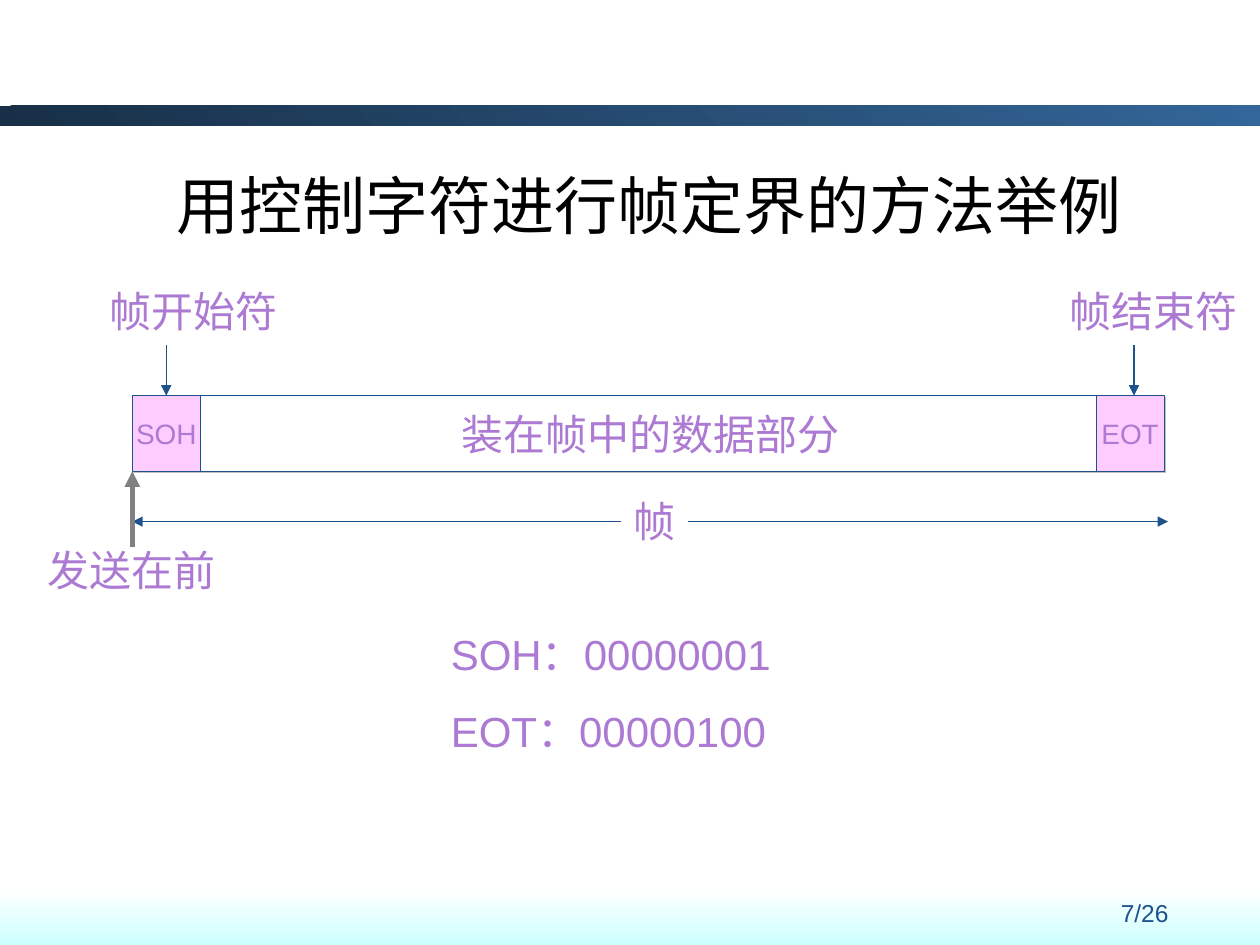
import pptx
import pptx.dml.color
import pptx.enum.dml
import pptx.enum.shapes
import pptx.enum.text
import pptx.oxml
import pptx.oxml.ns
import pptx.util

Inches = pptx.util.Inches
ALIGN = pptx.enum.text.PP_ALIGN
ANCHOR = pptx.enum.text.MSO_ANCHOR
NAVY, PURPLE, PINK, WHITE = "1D528D", "AC7AD2", "FFCCFF", "FFFFFF"
NAMESPACE = pptx.oxml.ns.nsdecls("a")
CJK_FONT = "Noto Sans CJK SC"


def color(hex_value):
    return pptx.dml.color.RGBColor.from_string(hex_value)


def add_xml(parent, xml):
    parent.append(pptx.oxml.parse_xml(xml))


def write_text(shape, text, size=24, hex_value=PURPLE, font="Arial",
               align=ALIGN.LEFT, anchor=ANCHOR.TOP, wrap=False):
    frame = shape.text_frame
    frame_format = {"word_wrap": wrap, "vertical_anchor": anchor}
    for name, value in frame_format.items():
        setattr(frame, name, value)
    paragraph = frame.paragraphs[0]
    paragraph.alignment = align
    run = paragraph.add_run()
    run.text = text
    for name, value in {"size": pptx.util.Pt(size), "name": font}.items():
        setattr(run.font, name, value)
    run.font.color.rgb = color(hex_value)
    add_xml(run.font._element, f'<a:ea {NAMESPACE} typeface="{CJK_FONT}"/>')


def add_label(slide, left, top, width, height, text, **text_format):
    label = slide.shapes.add_textbox(
        Inches(left), Inches(top), Inches(width), Inches(height))
    write_text(label, text, **text_format)
    return label


def add_rectangle(slide, left, top, width, height):
    rectangle = slide.shapes.add_shape(
        pptx.enum.shapes.MSO_SHAPE.RECTANGLE,
        Inches(left), Inches(top), Inches(width), Inches(height))
    rectangle.shadow.inherit = False
    return rectangle


def add_gradient_band(slide, left, top, width, height, colors, angle):
    band = add_rectangle(slide, left, top, width, height)
    band.line.fill.background()
    band.fill.gradient()
    band.fill.gradient_angle = angle
    for stop, position, hex_value in zip(band.fill.gradient_stops, (0, 1), colors):
        stop.position = position
        stop.color.rgb = color(hex_value)


def add_field(slide, left, top, width, height, text, fill, size):
    """One bordered field of the frame, with a small grey shadow."""
    field = add_rectangle(slide, left, top, width, height)
    field.fill.solid()
    field.fill.fore_color.rgb = color(fill)
    field.line.color.rgb = color(NAVY)
    field.line.width = pptx.util.Pt(0.75)
    effects = field._element.spPr.find(pptx.oxml.ns.qn("a:effectLst"))
    add_xml(effects, f'<a:outerShdw {NAMESPACE} dist="17780" dir="2700000">'
                     '<a:srgbClr val="C0C0C0"/></a:outerShdw>')
    write_text(field, text, size=size, align=ALIGN.CENTER, anchor=ANCHOR.MIDDLE)
    return field


def add_arrow(slide, start, end, hex_value=NAVY, width=0.75, ends=("tailEnd",)):
    arrow = slide.shapes.add_connector(
        pptx.enum.shapes.MSO_CONNECTOR.STRAIGHT,
        *(Inches(value) for value in (*start, *end)))
    arrow.line.color.rgb = color(hex_value)
    arrow.line.width = pptx.util.Pt(width)
    for end_name in ends:
        add_xml(arrow.line._get_or_add_ln(),
                f'<a:{end_name} {NAMESPACE} type="triangle"/>')
    add_xml(arrow._element.spPr, f"<a:effectLst {NAMESPACE}/>")
    return arrow


def add_background(slide, left, top, width, height):
    add_gradient_band(slide, left, top + 0.84, width, 0.16, ("182F47", "336699"), 45)
    add_gradient_band(slide, left, top + height - 0.44, width, 0.44,
                      (WHITE, "CCFFFF"), 270)
    add_label(slide, left + 8.41, top + 7.08, 1.35, 0.35, "7/26",
              size=14, hex_value=NAVY, align=ALIGN.CENTER, wrap=True)


def add_title(slide, left, top, width, height):
    add_label(slide, left, top, width, height, "用控制字符进行帧定界的方法举例 ",
              size=36, hex_value="000000", font=CJK_FONT, align=ALIGN.CENTER,
              anchor=ANCHOR.MIDDLE, wrap=True)


def add_frame_diagram(slide, left, top, width, height):
    """The box is the outline of the whole frame; notes sit around it."""
    marker = 0.54
    right, bottom = left + width, top + height
    label_height = 0.5

    # Fields
    start_field = add_field(slide, left, top, marker, height, "SOH", PINK, 16)
    add_field(slide, left + marker, top, 7.14, height, "装在帧中的数据部分", WHITE, 24)

    # Extent of the frame
    add_arrow(slide, (left, bottom + 0.4), (right + 0.03, bottom + 0.4),
              ends=("headEnd", "tailEnd"))
    extent = add_label(slide, left + 3.88, bottom + 0.14, 0.53, label_height, "帧")
    extent.fill.solid()
    extent.fill.fore_color.rgb = color(WHITE)

    # Start and end markers
    start_x, end_x = left + marker / 2, right - 0.24
    start_arrow = add_arrow(slide, (start_x, top - 0.4), (start_x, top))
    start_arrow.end_connect(start_field, 0)
    add_arrow(slide, (end_x, top - 0.4), (end_x, top))
    for label_left, text in ((left - 0.28, "帧开始符"), (right - 0.85, "帧结束符")):
        add_label(slide, label_left, top - 0.92, 1.53, label_height, text)

    # Sending order
    add_arrow(slide, (left, bottom + 0.6), (left, bottom), "808080", 3)
    add_label(slide, left - 0.77, bottom + 0.53, 1.53, label_height, "发送在前")

    add_field(slide, right - marker, top, marker, height, "EOT", PINK, 16)


def add_codes(slide, left, top, width, height):
    codes = ("SOH：00000001", "EOT：00000100")
    for index, text in enumerate(codes):
        add_label(slide, left, top + index * (height - 0.5), width, 0.5, text, wrap=True)


def main():
    presentation = pptx.Presentation()
    presentation.slide_width = Inches(10)
    presentation.slide_height = Inches(7.5)
    slide = presentation.slides.add_slide(presentation.slide_layouts[6])
    add_background(slide, 0, 0, 10, 7.5)
    add_title(slide, 0.42, 1.27, 9.58, 0.7)
    add_frame_diagram(slide, 1.05, 3.14, 8.19, 0.6)
    add_codes(slide, 3.48, 4.94, 3, 1.11)
    presentation.save("out.pptx")


if __name__ == "__main__":
    main()
